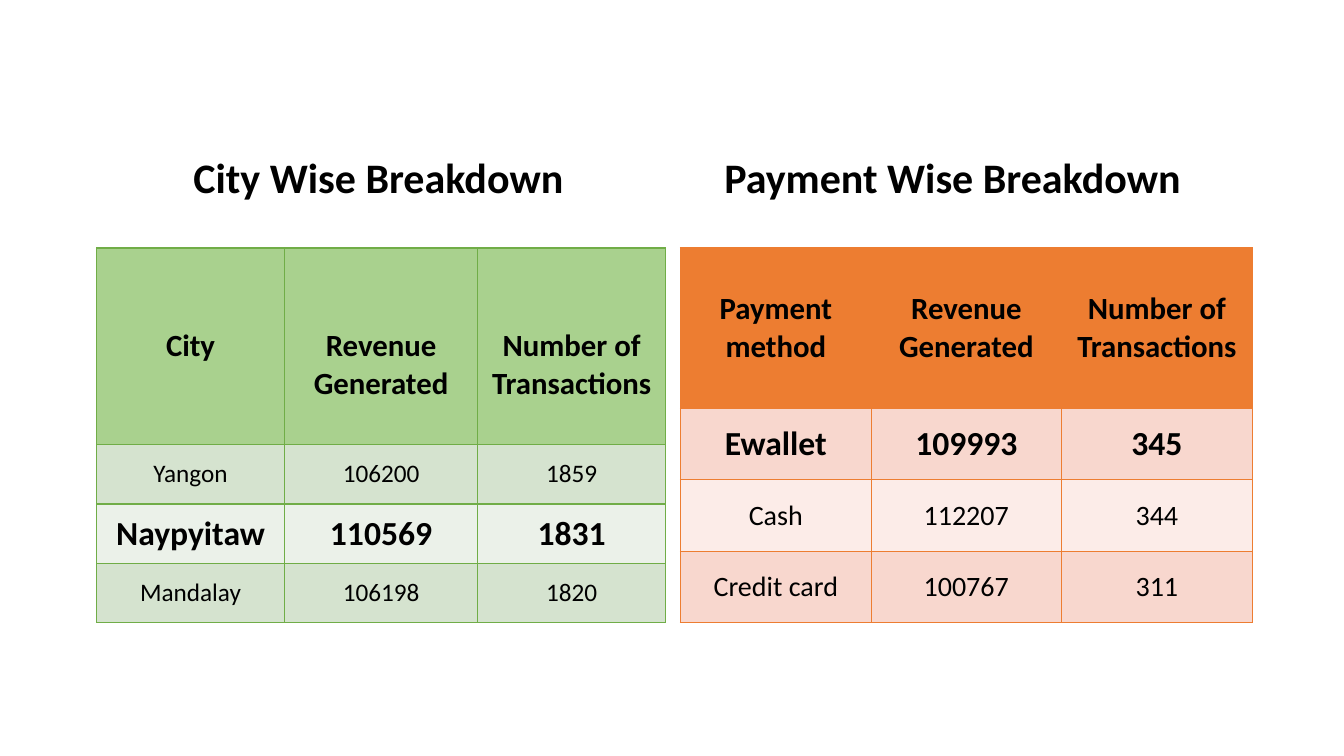
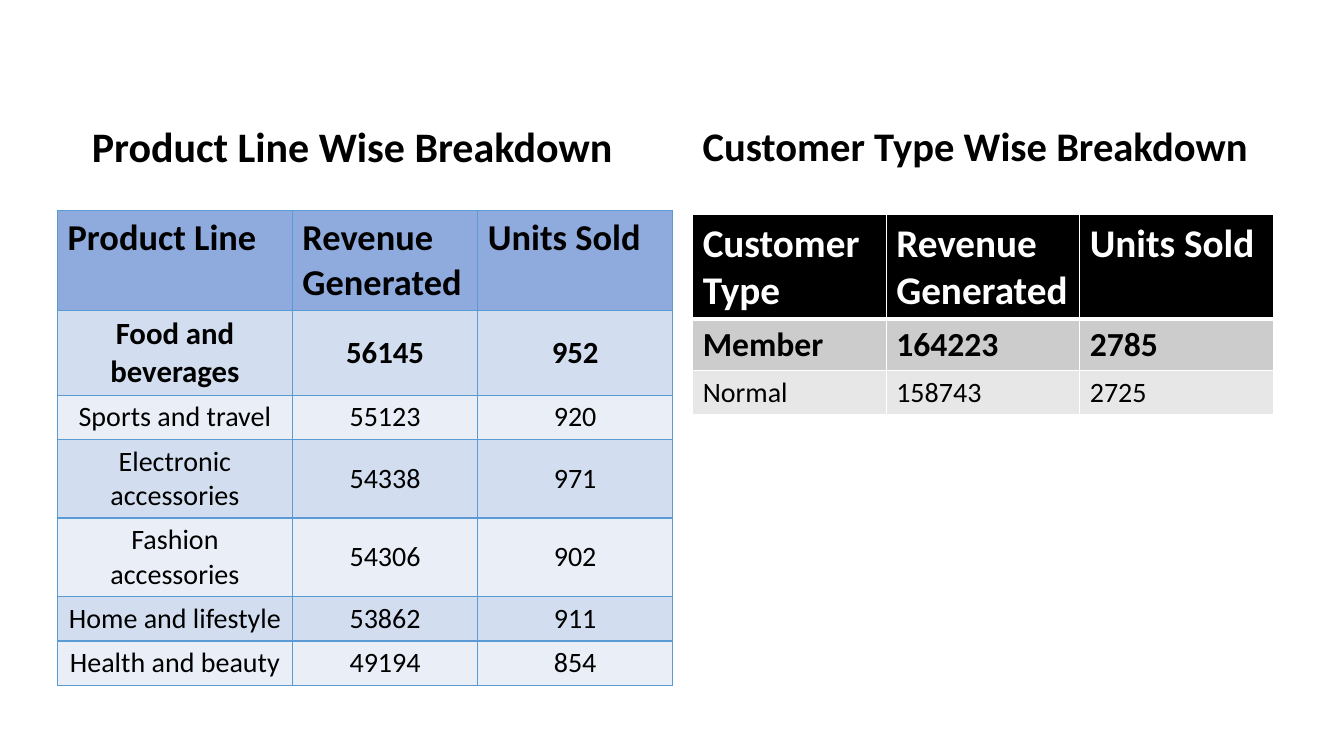
from dataclasses import dataclass
from lxml import etree
from pptx import Presentation
from pptx.dml.color import RGBColor as RGB
from pptx.enum.text import MSO_ANCHOR as Anchor, MSO_AUTO_SIZE as Fit, PP_ALIGN as Align
from pptx.oxml.ns import qn
from pptx.util import Pt

PX = 9144  # 100 px to the inch
FONT = "Calibri"
BLACK = RGB(0x00, 0x00, 0x00)
WHITE = RGB(0xFF, 0xFF, 0xFF)


@dataclass
class Look:
    edge: RGB
    head: RGB
    dark: RGB
    light: RGB
    ink: RGB = BLACK  # header text
    rule: int = 1  # line under the header, in points


GREEN = Look(RGB(0x70, 0xAD, 0x47), RGB(0xA9, 0xD1, 0x8E),
             RGB(0xD5, 0xE3, 0xCF), RGB(0xEB, 0xF1, 0xE9))
ORANGE = Look(RGB(0xED, 0x7D, 0x31), RGB(0xED, 0x7D, 0x31),
              RGB(0xF8, 0xD7, 0xCE), RGB(0xFC, 0xEC, 0xE8))
BLUE = Look(RGB(0x5B, 0x9B, 0xD5), RGB(0x8F, 0xAA, 0xDC),
            RGB(0xD2, 0xDE, 0xEF), RGB(0xEA, 0xEF, 0xF7))
GREY = Look(WHITE, BLACK, RGB(0xCC, 0xCC, 0xCC), RGB(0xE7, 0xE7, 0xE7),
            ink=WHITE, rule=3)


def write(frame, text, size, color=BLACK, bold=True, align=Align.CENTER):
    para = frame.paragraphs[0]
    para.alignment = align
    run = para.add_run()
    run.text = text
    font = run.font
    font.name, font.size, font.bold = FONT, Pt(size), bold
    font.color.rgb = color


def add_title(slide, text, left, top, width, size=30, align=Align.CENTER):
    box = slide.shapes.add_textbox(left * PX, top * PX, width * PX, 61 * PX)
    frame = box.text_frame
    frame.word_wrap = True
    frame.auto_size = Fit.SHAPE_TO_FIT_TEXT
    write(frame, text, size, align=align)


def add_edges(cell, color, top=1, base=1):
    """Draw the four borders; call before the fill, which must follow them."""
    props = cell._tc.get_or_add_tcPr()
    for side, width in (("L", 1), ("R", 1), ("T", top), ("B", base)):
        line = etree.SubElement(props, qn("a:ln" + side), w=str(Pt(width)))
        fill = etree.SubElement(line, qn("a:solidFill"))
        etree.SubElement(fill, qn("a:srgbClr"), val=str(color))


def paint(cell, color):
    cell.fill.solid()
    cell.fill.fore_color.rgb = color


def add_table(slide, look, left, top, cols, heights, rows, sizes, best=1,
              head_align=Align.CENTER, align=Align.CENTER,
              anchor=Anchor.TOP, drop=5):
    """Sizes are for header, best row and other rows; drop is the header's top margin."""
    table = slide.shapes.add_table(
        len(rows), len(cols), left * PX, top * PX,
        sum(cols) * PX, sum(heights) * PX).table
    table.horz_banding = False
    for col, width in zip(table.columns, cols):
        col.width = width * PX
    head_size, best_size, size = sizes
    for i, (row, height, texts) in enumerate(zip(table.rows, heights, rows)):
        row.height = height * PX
        for cell, text in zip(row.cells, texts):
            add_edges(cell, look.edge, top=look.rule if i == 1 else 1,
                      base=look.rule if i == 0 else 1)
            if i == 0:
                paint(cell, look.head)
                cell.vertical_anchor = anchor
                cell.margin_top = drop * PX
                write(cell.text_frame, text, head_size, look.ink, align=head_align)
            else:
                paint(cell, look.dark if i % 2 else look.light)
                cell.vertical_anchor = Anchor.MIDDLE
                write(cell.text_frame, text, best_size if i == best else size,
                      bold=i == best, align=align)


def add_sales(slide):
    """City and payment tables."""
    add_table(slide, GREEN, 96, 246, [186, 192, 186], [195] + [59] * 3, [
        ("City", "Revenue Generated", "Number of Transactions"),
        ("Yangon", "106200", "1859"),
        ("Naypyitaw", "110569", "1831"),
        ("Mandalay", "106198", "1820"),
    ], (22, 24, 18), best=2, drop=79)
    add_table(slide, ORANGE, 675, 246, [189] * 3, [159] + [71] * 3, [
        ("Payment method", "Revenue Generated", "Number of Transactions"),
        ("Ewallet", "109993", "345"),
        ("Cash", "112207", "344"),
        ("Credit card", "100767", "311"),
    ], (22, 24, 20), anchor=Anchor.MIDDLE)
    add_title(slide, "City Wise Breakdown", 92, 145, 567)
    add_title(slide, "Payment Wise Breakdown", 675, 145, 540)


def add_units(slide):
    """Customer and product tables."""
    add_table(slide, GREY, 687, 213, [192] * 3, [103, 51, 44], [
        ("Customer Type", "Revenue Generated", "Units Sold"),
        ("Member", "164223", "2785"),
        ("Normal", "158743", "2725"),
    ], (28, 24, 20), head_align=Align.LEFT, align=Align.LEFT)
    add_table(slide, BLUE, 57, 209, [233, 184, 193],
              [99, 84, 44, 78, 78, 44, 44], [
        ("Product Line", "Revenue Generated", "Units Sold"),
        ("Food and beverages", "56145", "952"),
        ("Sports and travel", "55123", "920"),
        ("Electronic accessories", "54338", "971"),
        ("Fashion accessories", "54306", "902"),
        ("Home and lifestyle", "53862", "911"),
        ("Health and beauty", "49194", "854"),
    ], (26, 22, 20), head_align=Align.LEFT)
    add_title(slide, "Product Line Wise Breakdown", 71, 115, 557)
    add_title(slide, "Customer Type Wise Breakdown", 687, 115, 575,
              size=29, align=Align.LEFT)


def main():
    deck = Presentation()
    deck.slide_width, deck.slide_height = 1333 * PX, 750 * PX
    for build in (add_sales, add_units):
        build(deck.slides.add_slide(deck.slide_layouts[6]))
    deck.save("out.pptx")


if __name__ == "__main__":
    main()
